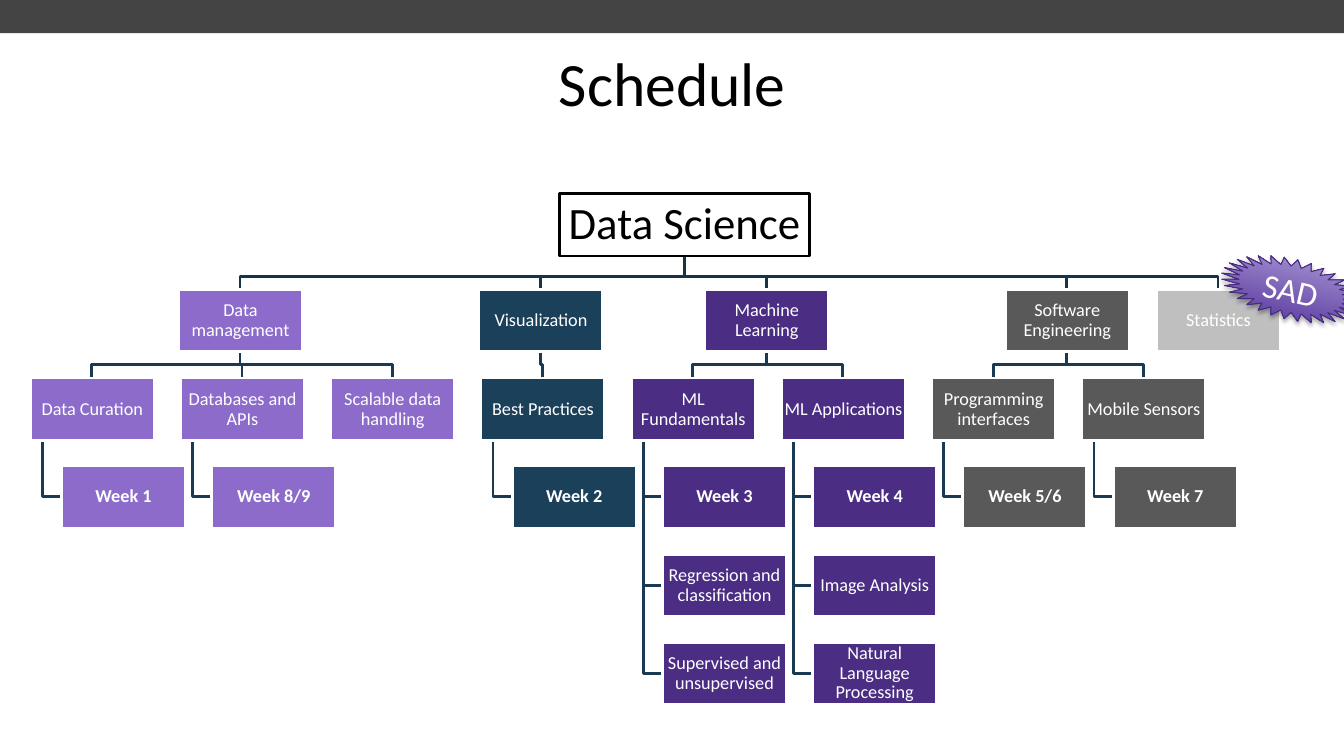
from lxml import etree
from pptx import Presentation
from pptx.dml.color import RGBColor
from pptx.enum.shapes import MSO_SHAPE
from pptx.enum.text import MSO_ANCHOR, PP_ALIGN
from pptx.oxml.ns import qn
from pptx.util import Pt

RECT, STAR = MSO_SHAPE.RECTANGLE, MSO_SHAPE.STAR_32_POINT
MIDDLE, CENTER = MSO_ANCHOR.MIDDLE, PP_ALIGN.CENTER

WHITE = RGBColor(0xFF, 0xFF, 0xFF)
BLACK = RGBColor(0x00, 0x00, 0x00)
BAR = RGBColor(0x44, 0x44, 0x44)
LILAC = RGBColor(0x8C, 0x6B, 0xCB)
NAVY = RGBColor(0x1B, 0x40, 0x5A)
PURPLE = RGBColor(0x4B, 0x2E, 0x83)
GRAY = RGBColor(0x59, 0x59, 0x59)
SILVER = RGBColor(0xBF, 0xBF, 0xBF)
TRUNK = RGBColor(0x16, 0x33, 0x48)
TWIG = RGBColor(0x19, 0x3A, 0x52)
DEEP = RGBColor(0x47, 0x21, 0x90)
PALE = RGBColor(0xB7, 0xAB, 0xE0)
EDGE = RGBColor(0x49, 0x2B, 0x82)

TITLE = "Schedule"
ROOT = "Data Science"
BADGE = "SAD"
TOPICS = [
    ("Data management", 177, LILAC, [
        ("Data Curation", ["Week 1"]),
        ("Databases and APIs", ["Week 8/9"]),
        ("Scalable data handling", [])]),
    ("Visualization", 475, NAVY, [
        ("Best Practices", ["Week 2"])]),
    ("Machine Learning", 699, PURPLE, [
        ("ML Fundamentals", ["Week 3", "Regression and classification",
                             "Supervised and unsupervised"]),
        ("ML Applications", ["Week 4", "Image Analysis",
                             "Natural Language Processing"])]),
    ("Software Engineering", 997, GRAY, [
        ("Programming interfaces", ["Week 5/6"]),
        ("Mobile Sensors", ["Week 7"])]),
    ("Statistics", 1147, SILVER, []),
]

PX = 9144
WIDE, HIGH = 123, 62
LEFT, STEP = 30, 149
INDENT, SPINE = 31, 12
ROOT_BOX = (555, 192, 248, 62)

deck = Presentation()
deck.slide_width, deck.slide_height = 1333 * PX, 750 * PX
slide = deck.slides.add_slide(deck.slide_layouts[6])
shapes = slide.shapes


def row(n):
    return 287 + (175 * n + 1) // 2


def write(shape, text, size, color, inset=None, bold=False):
    frame = shape.text_frame
    frame.word_wrap = True
    frame.text = text
    para = frame.paragraphs[0]
    para.alignment = CENTER
    font = para.runs[0].font
    font.name, font.size, font.bold = "Calibri", Pt(size), bold
    font.color.rgb = color
    if inset is not None:
        frame.margin_left = frame.margin_right = inset * PX
        frame.margin_top = frame.margin_bottom = inset * PX
        frame.vertical_anchor = MIDDLE
        para.line_spacing = 0.9


def draw(kind, box, fill, line=None):
    shape = shapes.add_shape(kind, *[v * PX for v in box])
    shape.shadow.inherit = False
    if fill is not None:
        shape.fill.solid()
        shape.fill.fore_color.rgb = fill
    if line is None:
        shape.line.fill.background()
    else:
        shape.line.color.rgb = line
        shape.line.width = Pt(2)
    return shape


def trace(points, color):
    pen = shapes.build_freeform(*points[0], scale=PX)
    pen.add_line_segments(points[1:], close=False)
    shape = pen.convert_to_shape()
    shape.shadow.inherit = False
    shape.fill.background()
    shape.line.color.rgb = color
    shape.line.width = Pt(2)


def drop(x, y, turn, to_x, to_y, color):
    trace([(x, y), (x, turn), (to_x, turn), (to_x, to_y)], color)


boxes = []
col = 0
left, top, width, height = ROOT_BOX
for topic, x, color, parts in TOPICS:
    mid = x + WIDE // 2
    drop(left + width // 2, top + height, 274, mid, row(0), TRUNK)
    boxes.append((topic, x, row(0), color))
    for part, leaves in parts:
        px = LEFT + STEP * col
        col += 1
        drop(mid, row(0) + HIGH, 362, px + WIDE // 2, row(1), TWIG)
        boxes.append((part, px, row(1), color))
        for n, leaf in enumerate(leaves, 2):
            y = row(n) + HIGH // 2
            trace([(px + SPINE, row(1) + HIGH), (px + SPINE, y),
                   (px + INDENT, y)], TWIG)
            boxes.append((leaf, px + INDENT, row(n), color))

draw(RECT, (0, 0, 1333, 33), BAR)
write(draw(RECT, ROOT_BOX, WHITE, BLACK), ROOT, 32, BLACK, 2)
for text, x, y, color in boxes:
    box = draw(RECT, (x, y, WIDE, HIGH), color, WHITE)
    write(box, text, 13, WHITE, 1, text.startswith("Week"))

star = draw(STAR, (1210, 257, 141, 60), None, EDGE)
star.rotation = 13.2
star.line.width = Pt(0.75)
star.fill.gradient()
star.fill.gradient_angle = 90
for stop, color in zip(star.fill.gradient_stops, (DEEP, PALE)):
    stop.color.rgb = color
effects = star._element.spPr.find(qn("a:effectLst"))
shade = etree.SubElement(effects, qn("a:outerShdw"), blurRad=str(Pt(3.1)),
                         dist=str(Pt(1.8)), dir="5400000", rotWithShape="0")
tint = etree.SubElement(shade, qn("a:srgbClr"), val=str(BLACK))
etree.SubElement(tint, qn("a:alpha"), val="35000")
write(star, BADGE, 24, WHITE)
star.text_frame.vertical_anchor = MIDDLE

title = shapes.add_textbox(92 * PX, 40 * PX, 1150 * PX, 86 * PX)
write(title, TITLE, 44, BLACK)

deck.save("out.pptx")
